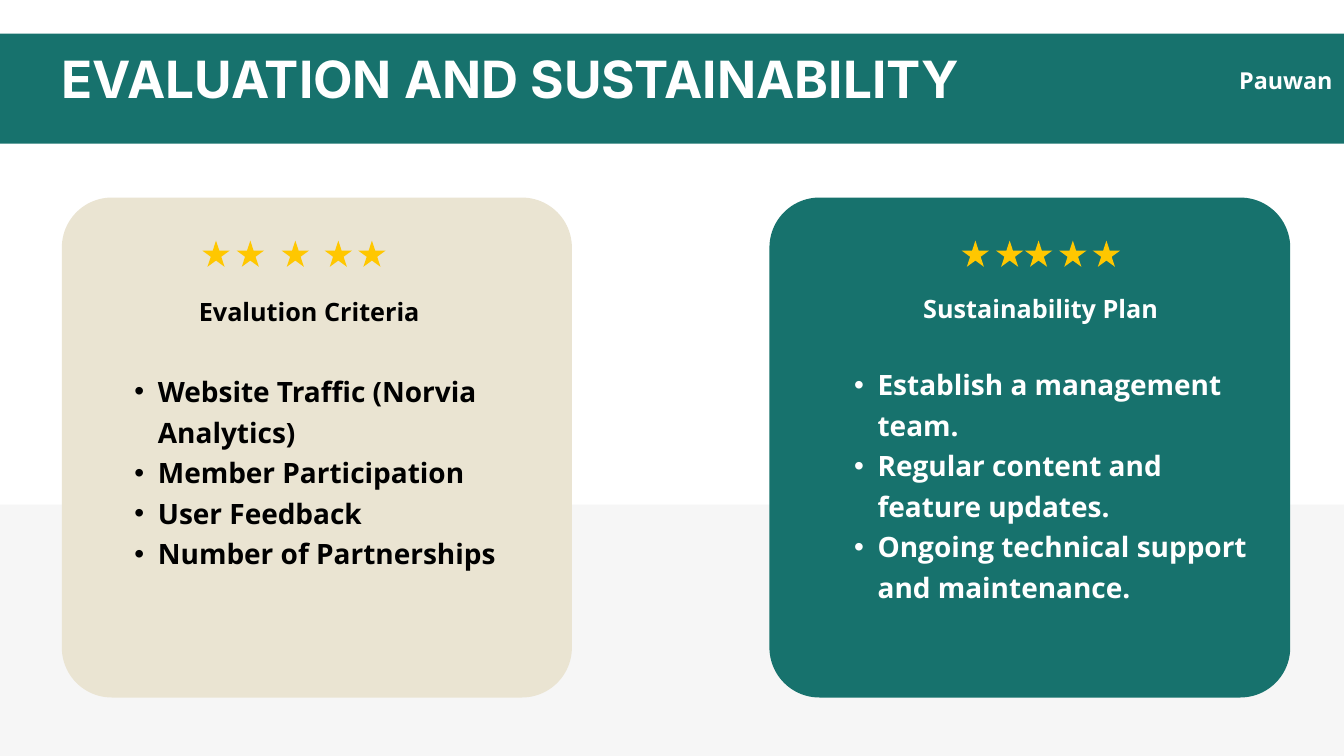
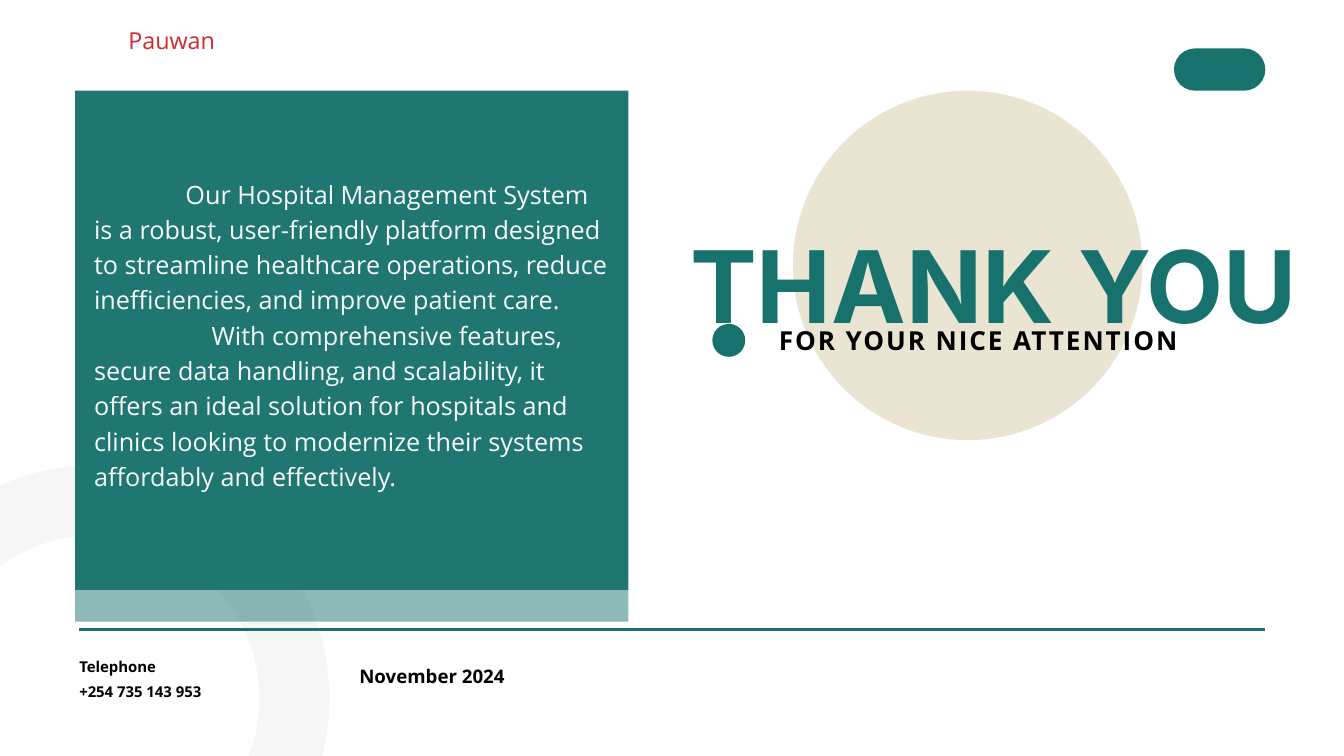
from dataclasses import dataclass
from lxml import etree
from pptx import Presentation
from pptx.dml.color import RGBColor
from pptx.enum.shapes import MSO_CONNECTOR, MSO_SHAPE
from pptx.enum.text import MSO_ANCHOR, MSO_AUTO_SIZE, PP_ALIGN
from pptx.oxml.ns import qn
from pptx.util import Inches, Pt

RECT = MSO_SHAPE.RECTANGLE
ROUND = MSO_SHAPE.ROUNDED_RECTANGLE
OVAL = MSO_SHAPE.OVAL
STAR = MSO_SHAPE.STAR_5_POINT
LEFT, RIGHT = PP_ALIGN.LEFT, PP_ALIGN.RIGHT
MID, FULL = PP_ALIGN.CENTER, PP_ALIGN.JUSTIFY
TOP, CENTER = MSO_ANCHOR.TOP, MSO_ANCHOR.MIDDLE


@dataclass(frozen=True)
class Theme:
    teal: str = "17726D"
    sand: str = "EAE4D2"
    gold: str = "FFC700"
    pale: str = "F6F6F6"
    red: str = "CC2B31"
    black: str = "000000"
    white: str = "FFFFFF"
    head: str = "Inter"
    body: str = "Open Sans"
    huge: float = 107.2
    title: float = 55
    list: float = 30
    sub: float = 28
    text: float = 27
    name: float = 25
    date: float = 20
    small: float = 16


T = Theme()
COL, ROW = Inches(20) / 100, Inches(11.25) / 100


def draw(page, kind, x, y, w, h, tint, alpha=100):
    form = page.shapes.add_shape(
        kind, round(x * COL), round(y * ROW), round(w * COL), round(h * ROW))
    form.shadow.inherit = False
    form.fill.solid()
    form.fill.fore_color.rgb = RGBColor.from_string(tint)
    form.line.fill.background()
    if alpha < 100:
        tone = form.element.spPr.find(qn("a:solidFill"))[0]
        etree.SubElement(tone, qn("a:alpha"), val=str(alpha * 1000))
    return form


def write(page, place, words, size, lead, tint, bold=True, align=LEFT, box=None):
    x, y, w, h = place
    box = box or page.shapes.add_textbox(0, 0, 0, 0)
    box.left, box.top = round(x * COL), round(y * ROW)
    box.width, box.height = round(w * COL), round(h * ROW)
    page.shapes.element.append(box.element)
    frame = box.text_frame
    frame.text = words
    frame.word_wrap = True
    frame.auto_size = MSO_AUTO_SIZE.NONE
    frame.vertical_anchor = TOP
    frame.margin_left = frame.margin_right = 0
    frame.margin_top = frame.margin_bottom = 0
    for para in frame.paragraphs:
        para.alignment = align
        para.line_spacing = Pt(lead)
        para.space_before = Pt(0)
        for run in para.runs:
            run.font.name = T.head if box.is_placeholder else T.body
            run.font.size = Pt(size)
            run.font.bold = bold
            run.font.color.rgb = RGBColor.from_string(tint)
    return frame


deck = Presentation()
deck.slide_width, deck.slide_height = round(100 * COL), round(100 * ROW)
plain = deck.slide_layouts[5]

plan = deck.slides.add_slide(plain)
draw(plan, RECT, 0, 66.75, 100, 33.25, T.pale)

cards = [
    (4.6, 37.95, T.sand, T.black, (8.2, 38.4, 29.6, 40.36), 43.5,
     (15.05, 17.6, 20.95, 24.15, 26.65), "Evalution Criteria",
     ["Website Traffic (Norvia Analytics)", "Member Participation",
      "User Feedback", "Number of Partnerships"]),
    (57.25, 38.75, T.teal, T.white, (61.75, 38.04, 31.35, 46.04), 39.1,
     (71.55, 74.1, 76.25, 78.8, 81.3), "Sustainability Plan",
     ["Establish a management team.", "Regular content and feature updates.",
      "Ongoing technical support and maintenance."]),
]
for x, wide, fill, ink, place, gap, stars, label, items in cards:
    card = draw(plan, ROUND, x, 26.13, wide, 66.13, fill)
    card.adjustments[0] = 0.1
    for spot in stars:
        draw(plan, STAR, spot, 31.82, 2.05, 3.47, T.gold)
    frame = write(plan, place, "\n".join([label] + items), T.list, 43.5, ink)
    top, *rest = frame.paragraphs
    top.alignment = MID
    top.line_spacing = Pt(39.1)
    top.space_after = Pt(gap)
    top.runs[0].font.size = Pt(T.text)
    for para in rest:
        para.level = 1
        prop = para._p.get_or_add_pPr()
        prop.set("marL", str(Inches(0.71)))
        prop.set("indent", str(-Inches(0.35)))
        etree.SubElement(prop, qn("a:buFont"), typeface="Arial")
        etree.SubElement(prop, qn("a:buChar"), char="•")

draw(plan, RECT, 0, 4.44, 100, 14.58, T.teal)
write(plan, (4.6, 7.29, 70.8, 7.29), "EVALUATION AND SUSTAINABILITY",
      T.title, 57.8, T.white, box=plan.shapes.title)
write(plan, (92.2, 8.18, 17.45, 4.09), "Pauwan", T.name, 35, T.white)

close = deck.slides.add_slide(plain)
ring = draw(close, OVAL, -7.65, 66.13, 29.55, 52.53, T.pale)
ring.fill.background()
ring.line.color.rgb = RGBColor.from_string(T.pale)
ring.line.width = Pt(75)

level = round(83.29 * ROW)
rule = close.shapes.add_connector(
    MSO_CONNECTOR.STRAIGHT, round(5.9 * COL), level, round(94.1 * COL), level)
rule.line.color.rgb = RGBColor.from_string(T.teal)
rule.line.width = Pt(3)
etree.SubElement(rule.element.spPr, qn("a:effectLst"))

draw(close, OVAL, 59, 12, 26, 46.22, T.sand)
draw(close, OVAL, 53, 42.84, 2.45, 4.36, T.teal)
pill = draw(close, ROUND, 87.35, 6.4, 6.8, 5.6, T.teal)
pill.adjustments[0] = 0.5

write(close, (51.35, 26.84, 47.15, 17.96), "THANK YOU",
      T.huge, 150.2, T.teal, box=close.shapes.title)
for y, words in ((89.6, "+254 735 143 953"), (86.31, "Telephone")):
    write(close, (5.9, y, 11, 2.84), words, T.small, 24.8, T.black, align=FULL)
write(close, (21.85, 87.02, 15.7, 3.56), "November 2024",
      T.date, 31, T.black, align=RIGHT)
thanks = write(close, (57.95, 42.22, 44.1, 4.71), "FOR YOUR NICE ATTENTION",
               T.sub, 39.2, T.black)
thanks.paragraphs[0].runs[0]._r.get_or_add_rPr().set("spc", "210")

draw(close, RECT, 5.6, 78.04, 41.15, 4.18, T.teal, 49)
draw(close, RECT, 5.6, 12, 41.15, 66.04, T.teal, 96)
about = write(
    close, (5.6, 9.96, 41.15, 68.09),
    "Our Hospital Management System is a robust, user-friendly platform "
    "designed to streamline healthcare operations, reduce inefficiencies, "
    "and improve patient care.\n"
    "With comprehensive features, secure data handling, and scalability, "
    "it offers an ideal solution for hospitals and clinics looking to "
    "modernize their systems affordably and effectively.",
    T.text, 37.8, T.white, False)
about.vertical_anchor = CENTER
about.margin_left = about.margin_right = Inches(0.28)
about.margin_top = about.margin_bottom = Inches(0.28)
for para, inset in zip(about.paragraphs, (6.8, 8.75)):
    para._p.get_or_add_pPr().set("indent", str(round(inset * COL)))
    tone = para.runs[0]._r.rPr.find(qn("a:solidFill"))[0]
    etree.SubElement(tone, qn("a:alpha"), val="96000")

write(close, (9.55, 2.84, 17.45, 4.09), "Pauwan", T.name, 35, T.red, False)

deck.save("out.pptx")
